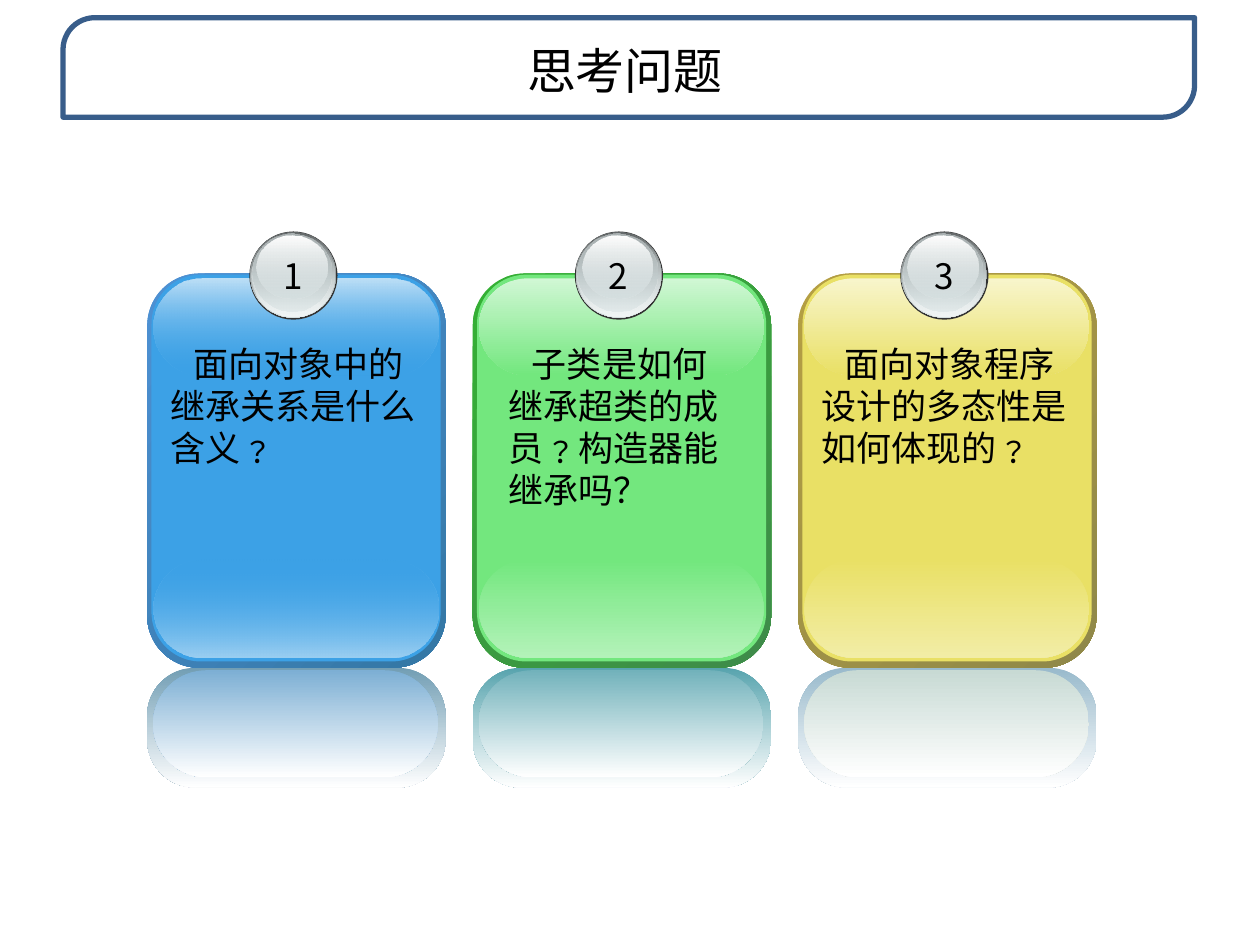
import pptx
import pptx.dml.color
import pptx.enum.shapes
import pptx.enum.text
import pptx.oxml.ns
import pptx.util
from lxml import etree

Pt = pptx.util.Pt
KIND = pptx.enum.shapes.MSO_SHAPE
ALIGN = pptx.enum.text.PP_ALIGN
FONT = "Noto Sans CJK SC"
LEFT, PITCH = 84.1, 186

HUES = {
    "ink": "000000", "white": "FFFFFF", "frame": "385D8A",
    "rim": "333333", "steel": "636869", "mist": "D6E1E2",
    "pale": "F1F5F5", "gray": "AAB2B3",
}
CARDS = [
    {"text": "面向对象中的继承关系是什么含义﹖", "inset": 7.2, "clear": 0,
     "edge": ("4E91D4", "3477A4"), "face": "3CA1E6",
     "base": "9BCFF2", "shine": "BEE0F7", "outer": "729EB4", "inner": "7DAFD4"},
    {"text": "子类是如何继承超类的成员﹖构造器能继承吗？", "inset": 14.4, "clear": 100,
     "edge": ("34B034", "3F8B4A"), "face": "73E77E",
     "base": "B3F2B9", "shine": "D0F7D4", "outer": "58A4AE", "inner": "72B2BB"},
    {"text": "面向对象程序设计的多态性是如何体现的﹖", "inset": 7.2, "clear": 100,
     "edge": ("B59F43", "8F8849"), "face": "E9E065",
     "base": "F2EDA6", "shine": "F8F5CC", "outer": "99BACC", "inner": "C8DAD4"},
]


def shade(hue):
    return pptx.dml.color.RGBColor.from_string(hue)


def fade(shape, *alphas):
    """Set the opacity, in percent, of each fill colour in turn."""
    qn = pptx.oxml.ns.qn
    colors = list(shape._element.spPr.iter(qn("a:srgbClr")))
    for color, alpha in zip(colors, alphas):
        if alpha < 100:
            etree.SubElement(color, qn("a:alpha")).set("val", str(alpha * 1000))


def add_form(shapes, kind, box, hues, alphas=(), turn=90, adjust=()):
    """Add a preset shape with a plain fill (one hue) or a gradient (two)."""
    shape = shapes.add_shape(kind, *map(Pt, box))
    shape.shadow.inherit = False
    shape.line.fill.background()
    for i, value in enumerate(adjust):
        shape.adjustments[i] = value
    if len(hues) == 1:
        shape.fill.solid()
        shape.fill.fore_color.rgb = shade(hues[0])
    else:
        shape.fill.gradient()
        shape.fill.gradient_angle = 360 - turn
        for stop, hue in zip(shape.fill.gradient_stops, hues):
            stop.color.rgb = shade(hue)
    fade(shape, *alphas)
    return shape


def add_text(shapes, box, text, size, align=ALIGN.LEFT, inset=7.2, indent=0, wrap=True):
    area = shapes.add_textbox(*map(Pt, box))
    frame = area.text_frame
    frame.word_wrap = wrap
    frame.margin_left = frame.margin_right = Pt(inset)
    frame.margin_top = frame.margin_bottom = Pt(3.6)
    para = frame.paragraphs[0]
    para.alignment = align
    if indent:
        para._p.get_or_add_pPr().set("indent", str(Pt(indent)))
    run = para.add_run()
    run.text = text
    run.font.size = Pt(size)
    run.font.color.rgb = shade(HUES["ink"])
    run.font.name = FONT
    east = etree.SubElement(run._r.get_or_add_rPr(), pptx.oxml.ns.qn("a:ea"))
    east.set("typeface", FONT)
    return frame


def add_title(shapes):
    frame = add_form(shapes, KIND.ROUND_2_DIAG_RECTANGLE, (36, 10.1, 646.6, 56.9),
                     [HUES["white"]], [85], adjust=(0.32, 0))
    frame.line.color.rgb = shade(HUES["frame"])
    frame.line.width = Pt(3)
    title = add_text(shapes, (33.1, 19.4, 648, 41), "思考问题", 28, ALIGN.CENTER)
    title.vertical_anchor = pptx.enum.text.MSO_ANCHOR.MIDDLE


def add_badge(shapes, x, label):
    """Stack the discs of a glossy ball and number it."""
    discs = [
        ((58.4, 132.3, 50.4, 50.4), ["rim"], ()),
        ((58.9, 132.5, 49, 49), ["steel", "mist"], ()),
        ((59.6, 133.2, 47.5, 47.5), ["mist", "pale"], (0, 100)),
        ((60, 133.2, 45.4, 44.6), ["gray", "mist"], (100, 48)),
        ((62.6, 134.6, 40.3, 36), ["white", "mist"], (100, 38)),
    ]
    for (dx, top, wide, high), names, alphas in discs:
        add_form(shapes, KIND.OVAL, (x + dx, top, wide, high),
                 [HUES[name] for name in names], alphas)
    add_text(shapes, (x + 70, 141.8, 26.6, 31.7), label, 20, ALIGN.CENTER, wrap=False)


def add_card(shapes, x, label, card):
    face, clear, white = card["face"], card["clear"], HUES["white"]
    layers = [
        ((0, 156.3, 170.5, 225.3), card["edge"], (), 45, 0.175),
        ((2.5, 157, 165.2, 221), [face], (), 90, 0.17),
        ((3.6, 319.7, 162.7, 56.2), [face, card["base"]], (clear, 100), 90, 0.5),
        ((3.6, 159.1, 162.7, 55.4), [card["shine"], face], (100, clear), 90, 0.5),
        ((0, 381.6, 170.5, 68.4), [card["outer"], white], (), 90, 0.4),
        ((3.4, 383, 162.7, 61.2), [card["inner"], white], (), 90, 0.5),
    ]
    for (dx, top, wide, high), hues, alphas, turn, curve in layers:
        add_form(shapes, KIND.ROUNDED_RECTANGLE, (x + dx, top, wide, high),
                 hues, alphas, turn, [curve])
    add_badge(shapes, x, label)
    add_text(shapes, (x + 6, 192.2, 162, 79.2), card["text"], 20,
             inset=card["inset"], indent=13.5)


def main():
    deck = pptx.Presentation()
    deck.slide_width, deck.slide_height = Pt(720), Pt(540)
    slide = deck.slides.add_slide(deck.slide_layouts[6])
    add_title(slide.shapes)
    for i, card in enumerate(CARDS):
        group = slide.shapes.add_group_shape()
        add_card(group.shapes, LEFT + i * PITCH, str(i + 1), card)
    deck.save("out.pptx")


if __name__ == "__main__":
    main()
